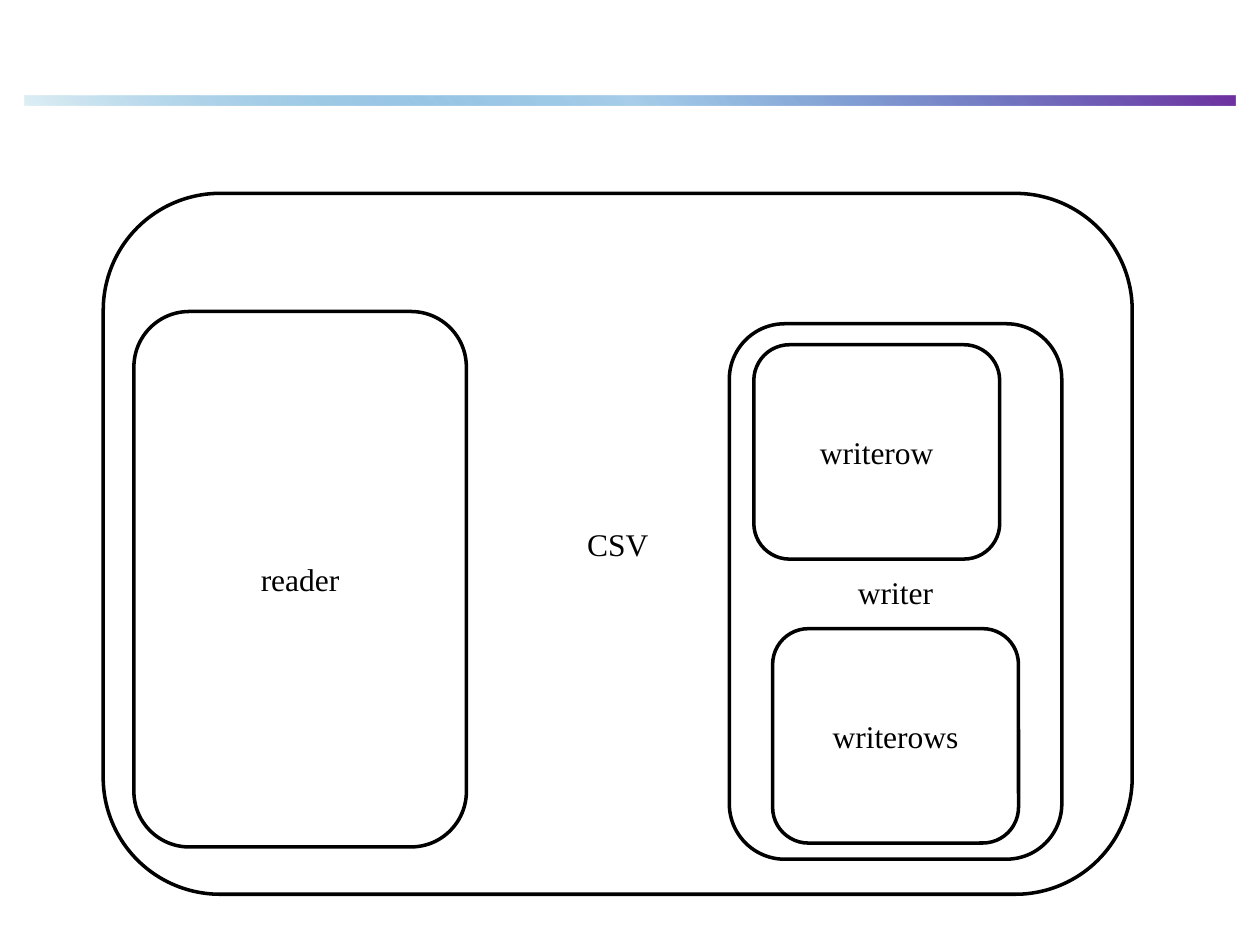
from copy import deepcopy

from lxml.etree import SubElement
from pptx import Presentation
from pptx.dml.color import RGBColor
from pptx.enum.shapes import MSO_SHAPE
from pptx.enum.text import MSO_ANCHOR, PP_ALIGN
from pptx.oxml.ns import qn
from pptx.util import Pt

BLACK = RGBColor(0x00, 0x00, 0x00)
WHITE = RGBColor(0xFF, 0xFF, 0xFF)
PALE = RGBColor(0xDF, 0xF0, 0xF5)
BLUE = RGBColor(0x00, 0x70, 0xC0)
PURPLE = RGBColor(0x70, 0x30, 0xA0)

FONT = "Times New Roman"
TALL = (190, 306)    # reader and writer
SMALL = (140.5, 122.5)  # methods of the writer


def add_bar(slide, left, top, width, height):
    """Header bar fading from pale through clear blue to purple."""
    bar = slide.shapes.add_shape(
        MSO_SHAPE.RECTANGLE, Pt(left), Pt(top), Pt(width), Pt(height))
    bar.shadow.inherit = False
    bar.line.fill.background()
    bar.fill.gradient()
    bar.fill.gradient_angle = 45

    # A new gradient has two stops: add the middle one
    stops = bar._element.spPr.find(".//" + qn("a:gsLst"))
    stops.insert(1, deepcopy(stops[0]))
    colors = (PALE, BLUE, PURPLE)
    for i, (stop, color) in enumerate(zip(bar.fill.gradient_stops, colors)):
        stop.color.rgb = color
        stop.position = i / 2
    SubElement(stops[1][0], qn("a:alpha"), val="34000")


def add_box(slide, text, left, top, size):
    """Outlined round box with a centred label."""
    width, height = size
    box = slide.shapes.add_shape(
        MSO_SHAPE.ROUNDED_RECTANGLE, Pt(left), Pt(top), Pt(width), Pt(height))
    box.shadow.inherit = False
    box.fill.solid()
    box.fill.fore_color.rgb = WHITE
    box.line.color.rgb = BLACK
    box.line.width = Pt(2)

    frame = box.text_frame
    frame.vertical_anchor = MSO_ANCHOR.MIDDLE
    label = frame.paragraphs[0]
    label.text = text
    label.alignment = PP_ALIGN.CENTER
    label.font.name = FONT
    label.font.size = Pt(18)
    label.font.color.rgb = BLACK


def main():
    deck = Presentation()
    deck.slide_width, deck.slide_height = Pt(720), Pt(540)
    slide = deck.slides.add_slide(deck.slide_layouts[6])

    add_bar(slide, 14, 54.5, 692, 6)

    # Module, its two objects, then the writer's methods
    add_box(slide, "CSV", 59, 110.5, (588, 400.5))
    add_box(slide, "reader", 76.5, 178, TALL)
    add_box(slide, "writer", 416.75, 185, TALL)
    add_box(slide, "writerow", 430.75, 197, SMALL)
    add_box(slide, "writerows", 441.5, 359.25, SMALL)

    deck.save("out.pptx")


if __name__ == "__main__":
    main()
